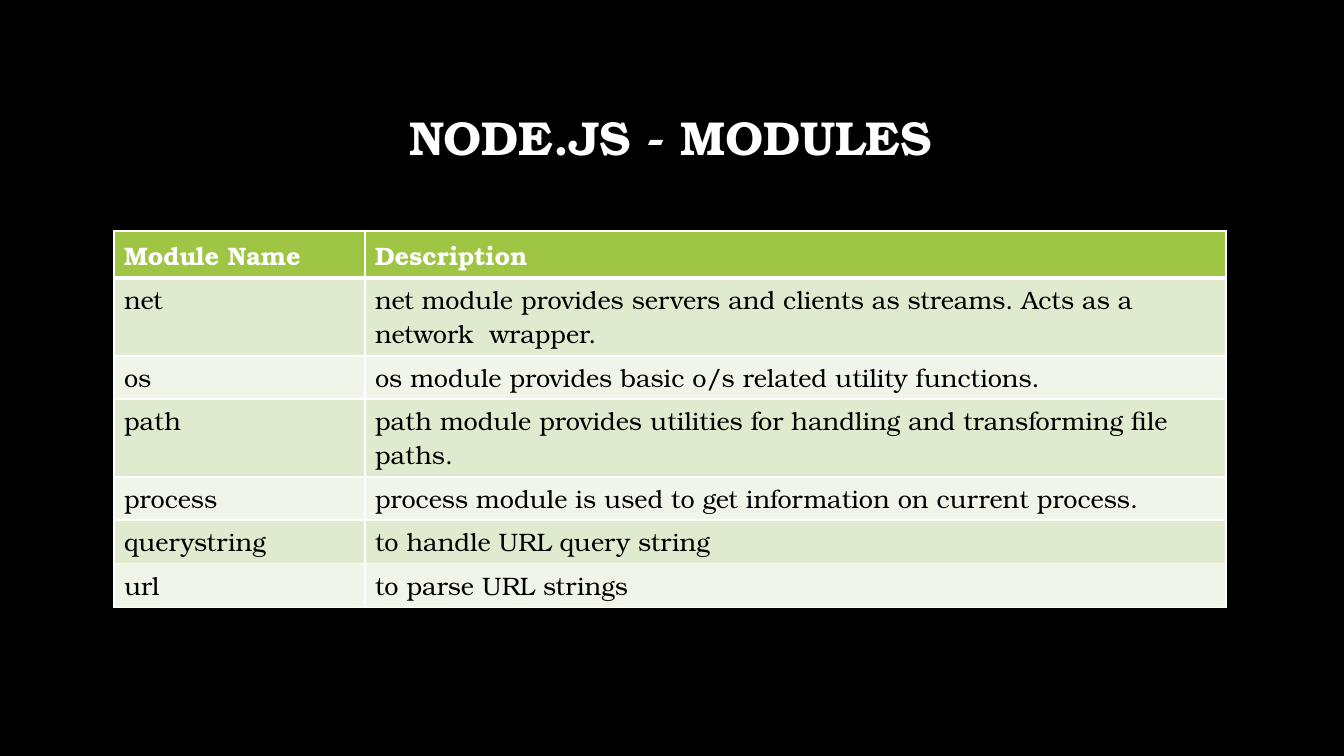
"""Build the Node.js modules slide."""
from dataclasses import dataclass

from lxml.etree import SubElement
from pptx import Presentation
from pptx.dml.color import RGBColor
from pptx.enum.text import MSO_ANCHOR, PP_ALIGN
from pptx.oxml.ns import qn
from pptx.slide import Slide
from pptx.table import _Cell
from pptx.text.text import TextFrame
from pptx.util import Emu, Pt

EMU_PER_PX = 12192000 / 1344


@dataclass(frozen=True)
class Theme:
    """Colours, font and type sizes of the slide."""
    background: str = "000000"
    light: str = "FFFFFF"
    dark: str = "000000"
    header: str = "9EC544"
    bands: tuple[str, str] = ("DFEACF", "F0F5E9")
    font: str = "TeX Gyre Bonum"
    title_size: int = 34
    table_size: int = 18
    rule: int = 1
    header_rule: int = 3


@dataclass(frozen=True)
class Module:
    """One table row: a module and what it does."""
    name: str
    description: str
    height: int


THEME = Theme()
HEADING = Module("Module Name", "Description", 47)
MODULES = (
    Module("net", "net module provides servers and clients as streams. "
           "Acts as a network  wrapper.", 78),
    Module("os", "os module provides basic o/s related utility functions.", 43),
    Module("path", "path module provides utilities for handling and "
           "transforming file paths.", 78),
    Module("process", "process module is used to get information on "
           "current process.", 43),
    Module("querystring", "to handle URL query string", 44),
    Module("url", "to parse URL strings", 44),
)
COLUMN_WIDTHS = (251, 861)


def px(length: int) -> Emu:
    """Turn pixels into EMU."""
    return Emu(round(length * EMU_PER_PX))


def write(frame: TextFrame, text: str, *, size: int, color: str,
          bold: bool = False, align: PP_ALIGN = PP_ALIGN.LEFT,
          spacing: float = 1.0) -> None:
    """Put one formatted paragraph into a text frame."""
    paragraph = frame.paragraphs[0]
    paragraph.alignment = align
    paragraph.line_spacing = spacing
    run = paragraph.add_run()
    run.text = text
    run.font.name = THEME.font
    run.font.size = Pt(size)
    run.font.bold = bold
    run.font.color.rgb = RGBColor.from_string(color)


def add_borders(cell: _Cell, top: int, bottom: int) -> None:
    """Draw the four rules around a cell, widths in points."""
    properties = cell._tc.get_or_add_tcPr()
    widths = {"L": THEME.rule, "R": THEME.rule, "T": top, "B": bottom}
    for side, width in widths.items():
        line = SubElement(properties, qn(f"a:ln{side}"), w=str(Pt(width)))
        fill = SubElement(line, qn("a:solidFill"))
        SubElement(fill, qn("a:srgbClr"), val=THEME.light)


def add_title(slide: Slide, text: str) -> None:
    """Add the centred slide title."""
    title = slide.shapes.add_textbox(px(100), px(67), px(1141), px(146))
    title.text_frame.word_wrap = True
    title.text_frame.vertical_anchor = MSO_ANCHOR.MIDDLE
    write(title.text_frame, text, size=THEME.title_size, color=THEME.light,
          bold=True, align=PP_ALIGN.CENTER, spacing=0.9)


def add_module_table(slide: Slide) -> None:
    """Add the table of modules under its heading row."""
    entries = (HEADING, *MODULES)
    table = slide.shapes.add_table(
        len(entries), len(COLUMN_WIDTHS), px(114), px(231),
        px(sum(COLUMN_WIDTHS)), px(sum(entry.height for entry in entries))).table
    table.horz_banding = False
    for column, width in zip(table.columns, COLUMN_WIDTHS):
        column.width = px(width)
    for index, entry in enumerate(entries):
        is_heading = index == 0
        table.rows[index].height = px(entry.height)
        band = THEME.header if is_heading else THEME.bands[(index - 1) % 2]
        top = THEME.header_rule if index == 1 else THEME.rule
        bottom = THEME.header_rule if is_heading else THEME.rule
        for cell, text in zip(table.rows[index].cells,
                              (entry.name, entry.description)):
            add_borders(cell, top, bottom)
            cell.fill.solid()
            cell.fill.fore_color.rgb = RGBColor.from_string(band)
            write(cell.text_frame, text, size=THEME.table_size, bold=is_heading,
                  color=THEME.light if is_heading else THEME.dark)


def main() -> None:
    """Build and save the slide."""
    deck = Presentation()
    deck.slide_width, deck.slide_height = px(1344), px(756)
    slide = deck.slides.add_slide(deck.slide_layouts[6])
    slide.background.fill.solid()
    slide.background.fill.fore_color.rgb = RGBColor.from_string(THEME.background)
    add_title(slide, "NODE.JS - MODULES")
    add_module_table(slide)
    deck.save("out.pptx")


if __name__ == "__main__":
    main()
